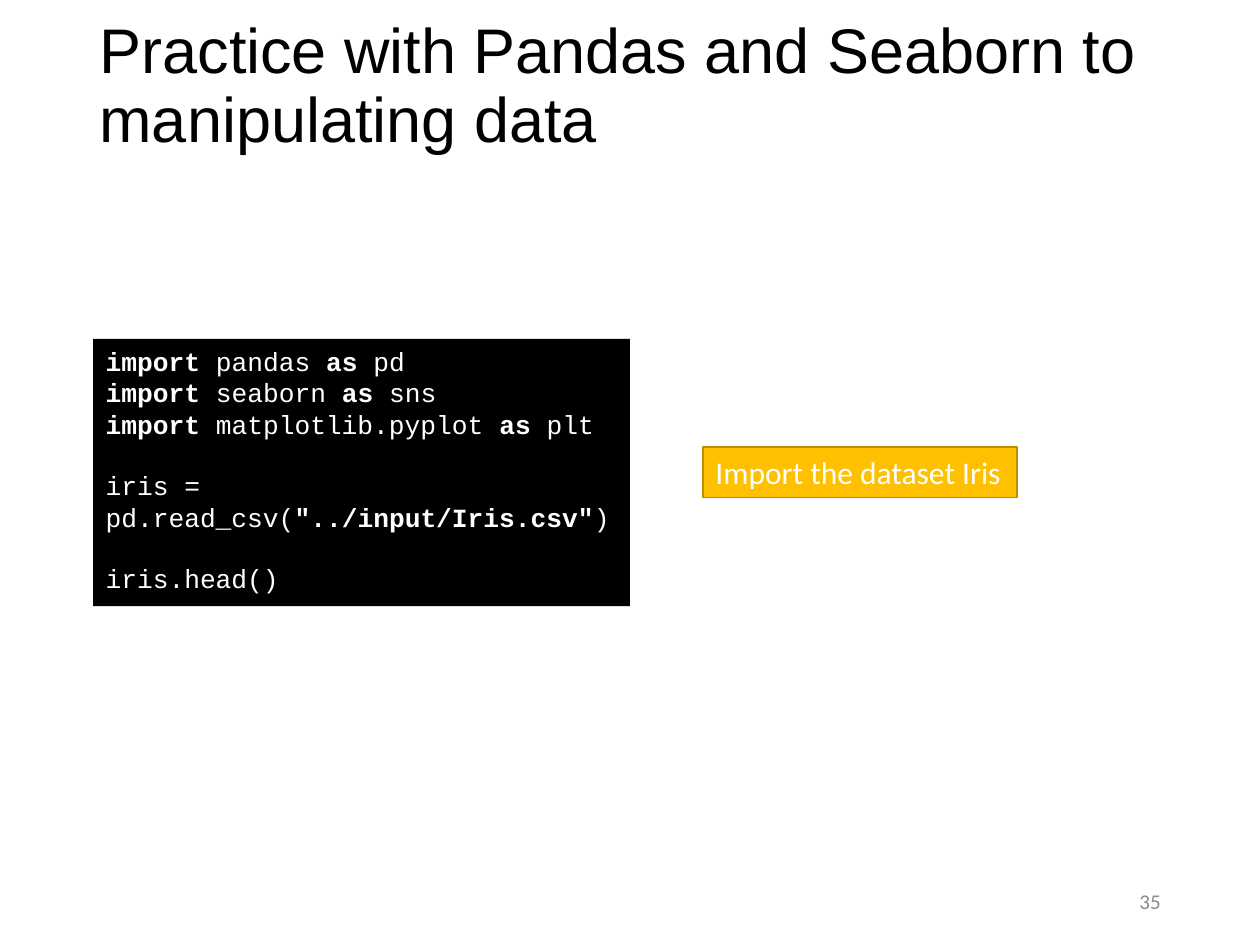
from pptx import Presentation
from pptx.dml.color import RGBColor
from pptx.enum.shapes import MSO_SHAPE
from pptx.enum.text import MSO_ANCHOR, MSO_AUTO_SIZE, PP_ALIGN
from pptx.util import Inches, Pt

RECTANGLE = MSO_SHAPE.RECTANGLE
TOP, MIDDLE = MSO_ANCHOR.TOP, MSO_ANCHOR.MIDDLE
LEFT, RIGHT = PP_ALIGN.LEFT, PP_ALIGN.RIGHT
NO_FIT, FIT_SHAPE = MSO_AUTO_SIZE.NONE, MSO_AUTO_SIZE.SHAPE_TO_FIT_TEXT
TITLE_ONLY = 5

COLORS = {"black": "000000", "white": "FFFFFF", "gray": "8C8C8C",
          "amber": "FFC000", "dark amber": "BD8E00"}

# Blocks of code lines; asterisks enclose the bold parts
CODE = [
    ["*import *pandas *as *pd",
     "*import *seaborn *as *sns",
     "*import *matplotlib.pyplot *as *plt"],
    ['iris = pd.read_csv(*"../input/Iris.csv"*)'],
    ["iris.head()"],
]
CODE_SIZE = 15
CODE_LINE_HEIGHT = 17


def color(name):
    return RGBColor.from_string(COLORS[name])


class SlideBuilder:
    """Holds the style and the slide; boxes are percentages of its size."""

    def __init__(self, presentation):
        self.width = presentation.slide_width
        self.height = presentation.slide_height
        layout = presentation.slide_layouts[TITLE_ONLY]
        self.slide = presentation.slides.add_slide(layout)

    def place(self, left, top, width, height):
        return (int(self.width * left / 100), int(self.height * top / 100),
                int(self.width * width / 100), int(self.height * height / 100))

    def style(self, paragraph, font, size, color_name, align=LEFT):
        paragraph.alignment = align
        paragraph.font.name = font
        paragraph.font.size = Pt(size)
        paragraph.font.color.rgb = color(color_name)

    def title(self, text, box):
        shape = self.slide.shapes.title
        shape.left, shape.top, shape.width, shape.height = self.place(*box)
        frame = shape.text_frame
        frame.text = text
        frame.auto_size = NO_FIT
        frame.vertical_anchor = MIDDLE
        paragraph = frame.paragraphs[0]
        paragraph.line_spacing = 0.9
        self.style(paragraph, "Arial", 36, "black")

    def page_number(self, text, box):
        frame = self.slide.shapes.add_textbox(*self.place(*box)).text_frame
        frame.word_wrap = True
        frame.vertical_anchor = MIDDLE
        frame.text = text
        self.style(frame.paragraphs[0], "Calibri", 12, "gray", RIGHT)

    def panel(self, box, fill, line=None, wrap=True):
        shape = self.slide.shapes.add_shape(RECTANGLE, *self.place(*box))
        shape.shadow.inherit = False
        shape.fill.solid()
        shape.fill.fore_color.rgb = color(fill)
        if line:
            shape.line.color.rgb = color(line)
            shape.line.width = Pt(1)
        else:
            shape.line.fill.background()
        frame = shape.text_frame
        frame.word_wrap = wrap
        frame.auto_size = FIT_SHAPE
        frame.vertical_anchor = TOP
        return frame

    def code(self, blocks, box):
        frame = self.panel(box, "black")
        for block_index, lines in enumerate(blocks):
            if block_index:
                paragraph = frame.add_paragraph()
                paragraph.space_before = Pt(CODE_LINE_HEIGHT)
            else:
                paragraph = frame.paragraphs[0]
            self.style(paragraph, "Courier New", CODE_SIZE, "white")
            for line_index, line in enumerate(lines):
                if line_index:
                    paragraph.add_line_break()
                for part_index, part in enumerate(line.split("*")):
                    if part:
                        run = paragraph.add_run()
                        run.text = part
                        run.font.bold = part_index % 2 == 1

    def label(self, text, box):
        frame = self.panel(box, "amber", "dark amber", wrap=False)
        frame.text = text
        self.style(frame.paragraphs[0], "Calibri", 18, "white")


def main():
    presentation = Presentation()
    presentation.slide_width = Inches(10)
    presentation.slide_height = Inches(7.5)
    builder = SlideBuilder(presentation)

    # Heading and page number
    builder.title("Practice with Pandas and Seaborn to manipulating data",
                  (6.9, 2.67, 86.2, 13.2))
    builder.page_number("35", (70.6, 92.67, 22.5, 5.33))

    # Code and its explanation
    builder.code(CODE, (7.4, 35.87, 42.6, 28.27))
    builder.label("Import the dataset Iris", (55.8, 47.33, 24.9, 5.33))

    presentation.save("out.pptx")


if __name__ == "__main__":
    main()
